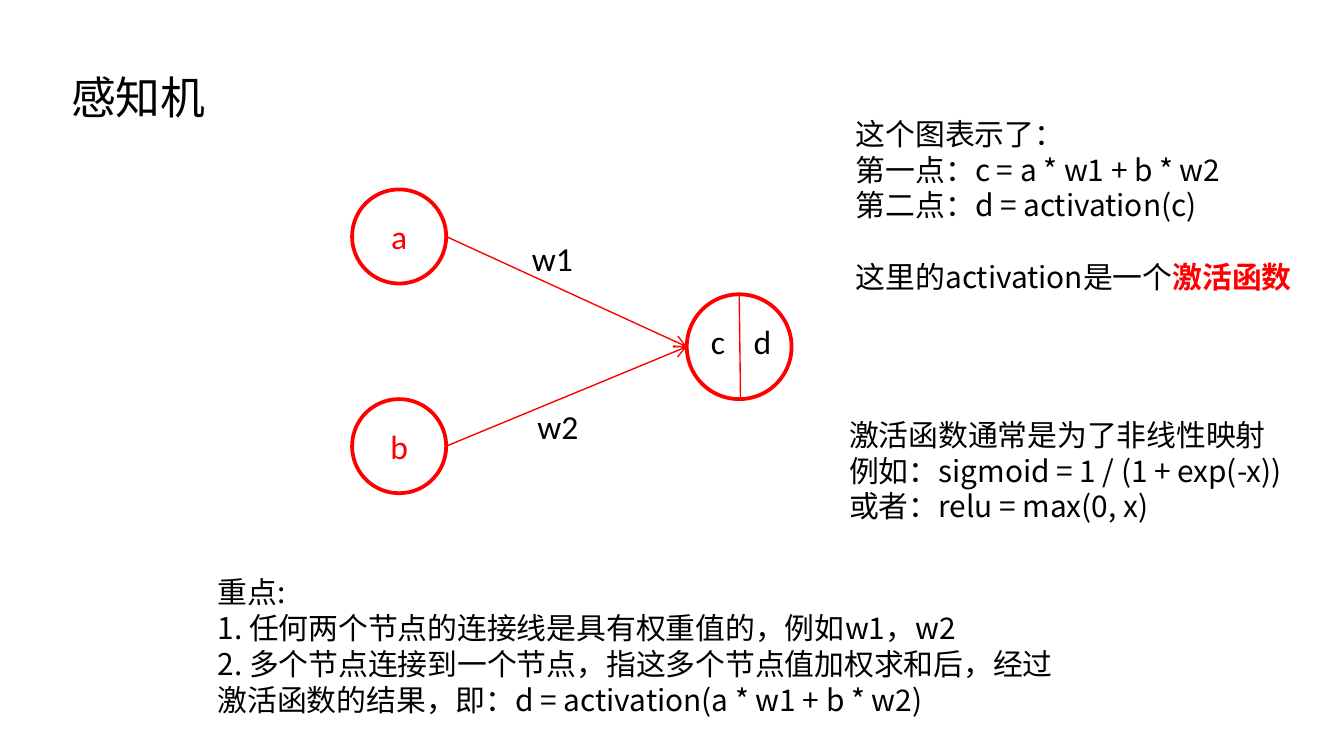
from dataclasses import dataclass

from lxml import etree
from pptx import Presentation
from pptx.dml.color import RGBColor
from pptx.enum.shapes import MSO_CONNECTOR, MSO_SHAPE
from pptx.enum.text import MSO_ANCHOR, MSO_AUTO_SIZE, PP_ALIGN
from pptx.oxml.ns import qn
from pptx.util import Inches, Pt


@dataclass(frozen=True)
class Theme:
    red: RGBColor = RGBColor(0xFF, 0, 0)
    black: RGBColor = RGBColor(0, 0, 0)
    label_font: str = "Calibri"
    text_font: str = "Noto Sans CJK SC"
    title: int = 24
    label: int = 18
    body: int = 16
    leading: float = 1.2


T = Theme()
WIDTH = 10
HEIGHT = WIDTH * 9 / 16

TITLE = ["感知机"]
# Each paragraph is a string, or a list of (text, emphasised) runs.
FORMULA = [
    "这个图表示了：",
    "第一点：c = a * w1 + b * w2",
    "第二点：d = activation(c)",
]
ACTIVATION = [[("这里的activation是一个", False), ("激活函数", True)]]
EXAMPLES = [
    "激活函数通常是为了非线性映射",
    "例如：sigmoid = 1 / (1 + exp(-x))",
    "或者：relu = max(0, x)",
]
KEY_POINTS = [
    "重点:",
    "1. 任何两个节点的连接线是具有权重值的，例如w1，w2",
    "2. 多个节点连接到一个节点，指这多个节点值加权求和后，经过",
    "激活函数的结果，即：d = activation(a * w1 + b * w2)",
]
# Circles: text, centre x, centre y, diameter
INPUTS = [("a", 2.97, 1.76, 0.7), ("b", 2.97, 3.32, 0.7)]
OUTPUT = ("", 5.5, 2.58, 0.78)
DIVIDER_SLANT = 0.01
# Labels: text, left, top, width
LABELS = [("w1", 3.86, 1.72, 0.51), ("w2", 3.9, 2.97, 0.51),
          ("c", 5.19, 2.34, 0.31), ("d", 5.51, 2.34, 0.34)]


def place(sp, left, top, width, height):
    sp.left, sp.top, sp.width, sp.height = map(Inches, (left, top, width, height))
    return sp


def write(sp, paragraphs, size=T.body, font=T.text_font, color=T.black,
          align=PP_ALIGN.LEFT, anchor=MSO_ANCHOR.TOP, wrap=True, gap_at=None):
    """Fill a shape with text; gap_at is the paragraph with an empty line above."""
    tf = sp.text_frame
    tf.word_wrap, tf.vertical_anchor = wrap, anchor
    tf.auto_size = MSO_AUTO_SIZE.NONE
    for i, runs in enumerate(paragraphs):
        p = tf.paragraphs[0] if i == 0 else tf.add_paragraph()
        p.alignment = align
        p.line_spacing = Pt(size * T.leading)
        p.space_before = Pt(size * T.leading if i == gap_at else 0)
        if sp.is_placeholder:
            pPr = p._p.get_or_add_pPr()
            pPr.set("marL", "0")
            pPr.set("indent", "0")
            etree.SubElement(pPr, qn("a:buNone"))
        for text, strong in [(runs, False)] if isinstance(runs, str) else runs:
            r = p.add_run()
            r.text = text
            r.font.size, r.font.name, r.font.bold = Pt(size), font, strong
            r.font.color.rgb = T.red if strong else color
            ea = etree.SubElement(r._r.get_or_add_rPr(), qn("a:ea"))
            ea.set("typeface", font)


def add_text(s, paragraphs, left, top, width, height, **fmt):
    sp = s.shapes.add_textbox(0, 0, 0, 0)
    write(place(sp, left, top, width, height), paragraphs, **fmt)


def add_node(s, text, x, y, size):
    sp = s.shapes.add_shape(MSO_SHAPE.OVAL, 0, 0, 0, 0)
    place(sp, x - size / 2, y - size / 2, size, size)
    sp.shadow.inherit = False
    sp.fill.background()
    sp.line.color.rgb, sp.line.width = T.red, Pt(2)
    if text:
        write(sp, [text], size=T.label, font=T.label_font, color=T.red,
              align=PP_ALIGN.CENTER, anchor=MSO_ANCHOR.MIDDLE)


def add_line(s, start, end, arrow=False):
    points = map(Inches, (*start, *end))
    line = s.shapes.add_connector(MSO_CONNECTOR.STRAIGHT, *points)
    line.line.color.rgb, line.line.width = T.red, Pt(0.75)
    if arrow:
        tail = etree.SubElement(line.line._get_or_add_ln(), qn("a:tailEnd"))
        tail.set("type", "arrow")
    etree.SubElement(line._element.spPr, qn("a:effectLst"))


def main():
    prs = Presentation()
    prs.slide_width, prs.slide_height = Inches(WIDTH), Inches(HEIGHT)
    s = prs.slides.add_slide(prs.slide_layouts[1])

    write(place(s.shapes.title, 0.43, 0.47, 1.21, 0.5), TITLE,
          size=T.title, wrap=False)
    write(place(s.placeholders[1], 1.52, 4.22, 8.32, 1.18), KEY_POINTS)

    _, x, y, size = OUTPUT
    add_node(s, *OUTPUT)
    add_line(s, (x, y - size / 2), (x + DIVIDER_SLANT, y + size / 2))
    for node in INPUTS:
        _, node_x, node_y, node_size = node
        add_node(s, *node)
        add_line(s, (node_x + node_size / 2, node_y), (x - size / 2, y), arrow=True)

    for text, left, top, width in LABELS:
        add_text(s, [text], left, top, width, 0.4,
                 size=T.label, font=T.label_font, wrap=False)
    add_text(s, FORMULA + ACTIVATION, 6.27, 0.81, 3.49, 1.45, gap_at=len(FORMULA))
    add_text(s, EXAMPLES, 6.22, 3.05, 3.73, 0.94, wrap=False)

    prs.save("out.pptx")


if __name__ == "__main__":
    main()
